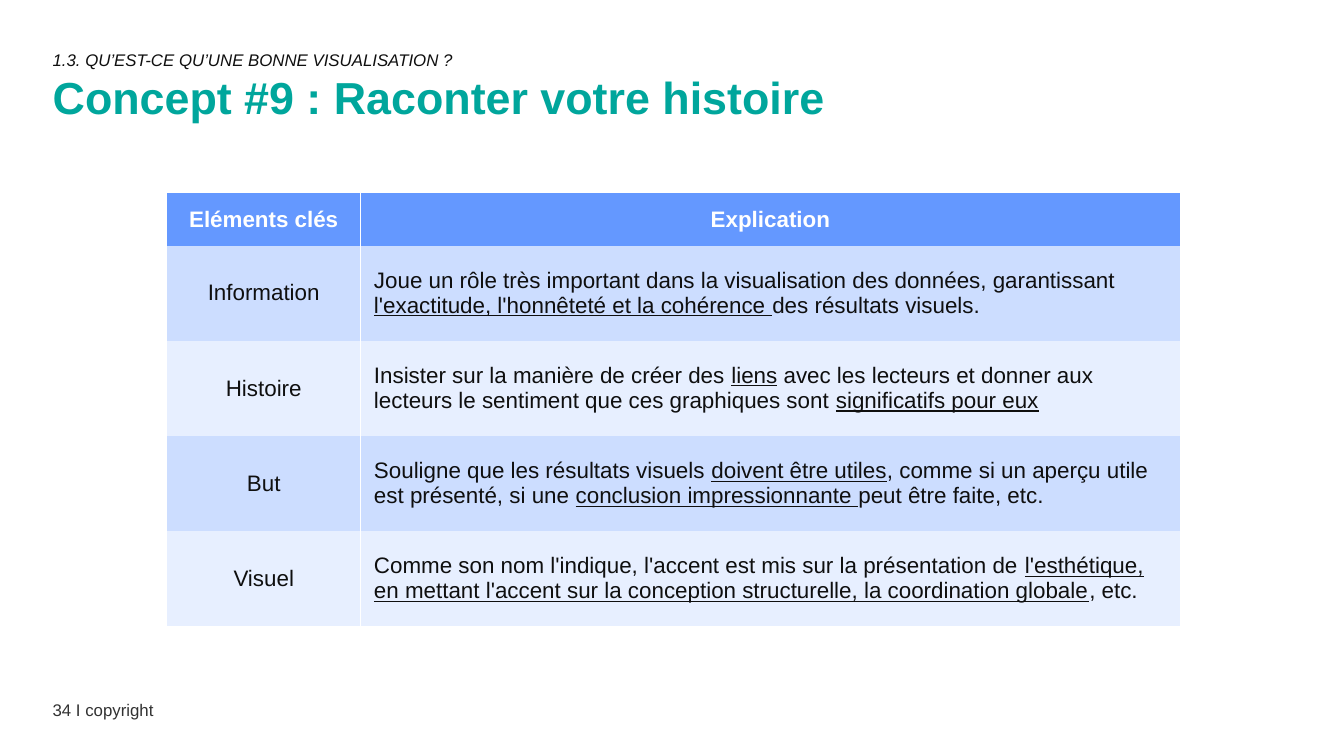
from dataclasses import dataclass

from lxml import etree
from pptx import Presentation
from pptx import util as u
from pptx.dml.color import RGBColor
from pptx.enum import text
from pptx.oxml import ns


@dataclass(frozen=True)
class Theme:
    font: str = "Arial"
    ink: str = "0F0F0F"
    gray: str = "323232"
    teal: str = "00A69C"
    white: str = "FFFFFF"
    head: str = "6498FF"
    bands: tuple = ("CCDDFF", "E7EFFF")
    small: int = 9
    body: int = 12
    title: int = 24
    rule: int = 1
    plain: str = "{2D5ABB26-0587-4C30-8999-92F81FD0307C}"


class Deck:
    def __init__(self, theme, cell=0.1, cols=100, rows=56.25):
        self.theme, self.cell = theme, cell
        self.file = Presentation()
        self.file.slide_width = self.size(cols)
        self.file.slide_height = self.size(rows)
        self.slide = self.file.slides.add_slide(self.file.slide_layouts[6])

    def size(self, count):
        return u.Inches(count * self.cell)

    def style(self, para, size, color, bold=False, italic=False):
        font = para.font
        font.name, font.size = self.theme.font, u.Pt(size)
        font.bold, font.italic = bold, italic
        font.color.rgb = RGBColor.from_string(color)

    def label(self, words, area, size, color, **look):
        box = self.slide.shapes.add_textbox(*map(self.size, area))
        frame = box.text_frame
        frame.word_wrap = True
        frame.margin_left = frame.margin_right = 0
        frame.margin_top = frame.margin_bottom = 0
        para = frame.paragraphs[0]
        para.text = words
        self.style(para, size, color, **look)

    def edge(self, cell, side):
        line = etree.Element(ns.qn(f"a:{side}"), w=str(u.Pt(self.theme.rule)))
        fill = etree.SubElement(line, ns.qn("a:solidFill"))
        etree.SubElement(fill, ns.qn("a:srgbClr"), val=self.theme.white)
        cell._tc.get_or_add_tcPr().insert(0, line)

    def entry(self, cell, words, fill, color, center, bold):
        cell.fill.solid()
        cell.fill.fore_color.rgb = RGBColor.from_string(fill)
        cell.vertical_anchor = text.MSO_ANCHOR.MIDDLE
        para = cell.text_frame.paragraphs[0]
        para.alignment = text.PP_ALIGN.CENTER if center else text.PP_ALIGN.LEFT
        for i, part in enumerate(words.split("|")):
            if part:
                run = para.add_run()
                run.text = part
                if i % 2:
                    run.font.underline = True
        self.style(para, self.theme.body, color, bold=bold)

    def table(self, data, left, top, widths, heights):
        area = (left, top, sum(widths), sum(heights))
        frame = self.slide.shapes.add_table(
            len(data), len(widths), *map(self.size, area))
        grid = frame.table
        next(grid._tbl.iter(ns.qn("a:tableStyleId"))).text = self.theme.plain
        for col, width in zip(grid.columns, widths):
            col.width = self.size(width)
        for row, height in zip(grid.rows, heights):
            row.height = self.size(height)
        for r, line in enumerate(data):
            head = r == 0
            fill = self.theme.head if head else self.theme.bands[(r - 1) % 2]
            color = self.theme.white if head else self.theme.ink
            for c, words in enumerate(line):
                cell = grid.cell(r, c)
                self.entry(cell, words, fill, color, head or c == 0, head)
                self.edge(cell, "lnR")
                if c:
                    self.edge(cell, "lnL")

    def save(self):
        self.file.save("out.pptx")


ROWS = [
    ("Eléments clés", "Explication"),
    ("Information",
     "Joue un rôle très important dans la visualisation des données, garantissant "
     "|l'exactitude, l'honnêteté et la cohérence |des résultats visuels."),
    ("Histoire",
     "Insister sur la manière de créer des |liens| avec les lecteurs et donner aux "
     "lecteurs le sentiment que ces graphiques sont |significatifs pour eux|"),
    ("But",
     "Souligne que les résultats visuels |doivent être utiles|, comme si un aperçu "
     "utile est présenté, si une |conclusion impressionnante |peut être faite, etc."),
    ("Visuel",
     "Comme son nom l'indique, l'accent est mis sur la présentation de "
     "|l'esthétique, en mettant l'accent sur la conception structurelle, "
     "la coordination globale|, etc."),
]


def main():
    theme = Theme()
    deck = Deck(theme)
    left = 3.92
    deck.label("34 I copyright", (left, 52.1, 23.6, 2), theme.small, theme.gray)
    deck.label("1.3. QU’EST-CE QU’UNE BONNE VISUALISATION ?",
               (left, 3.7, 42.3, 2), theme.small, theme.ink, italic=True)
    deck.label("Concept #9 : Raconter votre histoire",
               (left, 5.2, 92.5, 5.1), theme.title, theme.teal, bold=True)
    deck.table(ROWS, 12.43, 14.35, (14.4, 61), [3.92] + [7.08] * 4)
    deck.save()


if __name__ == "__main__":
    main()
